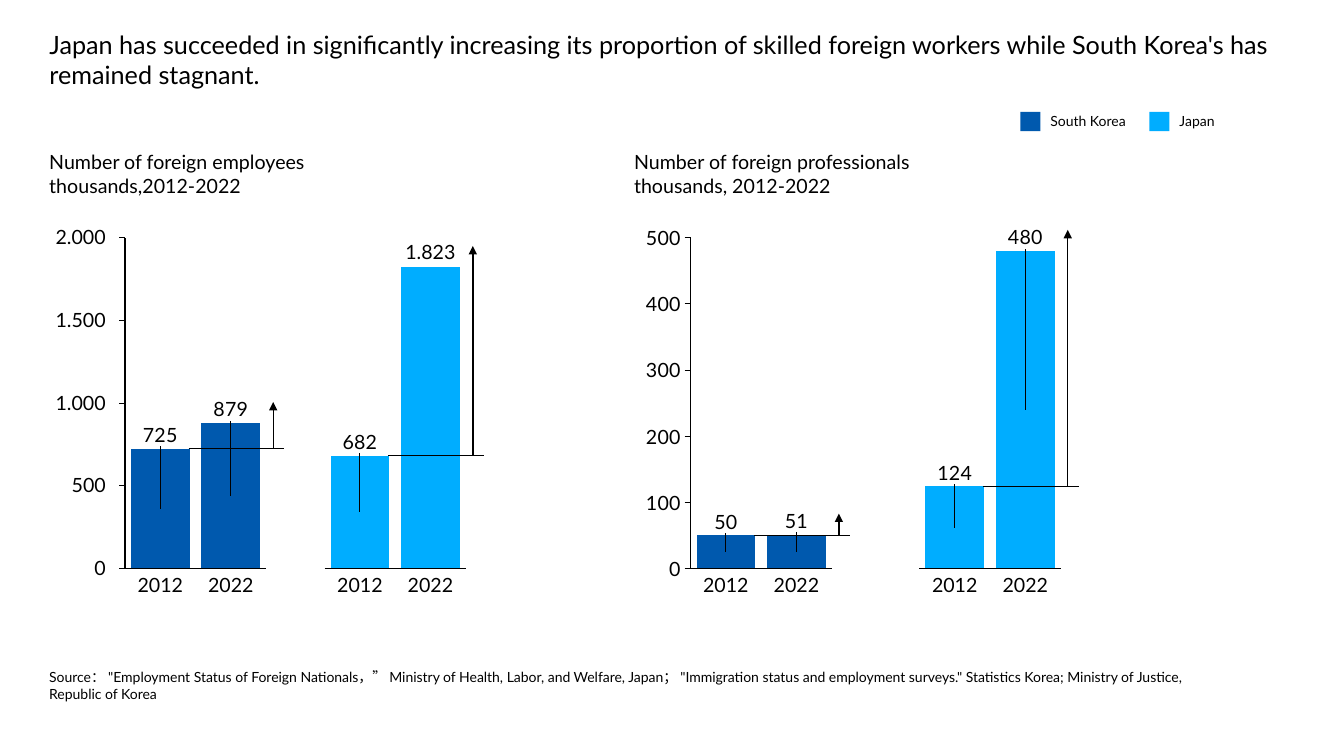
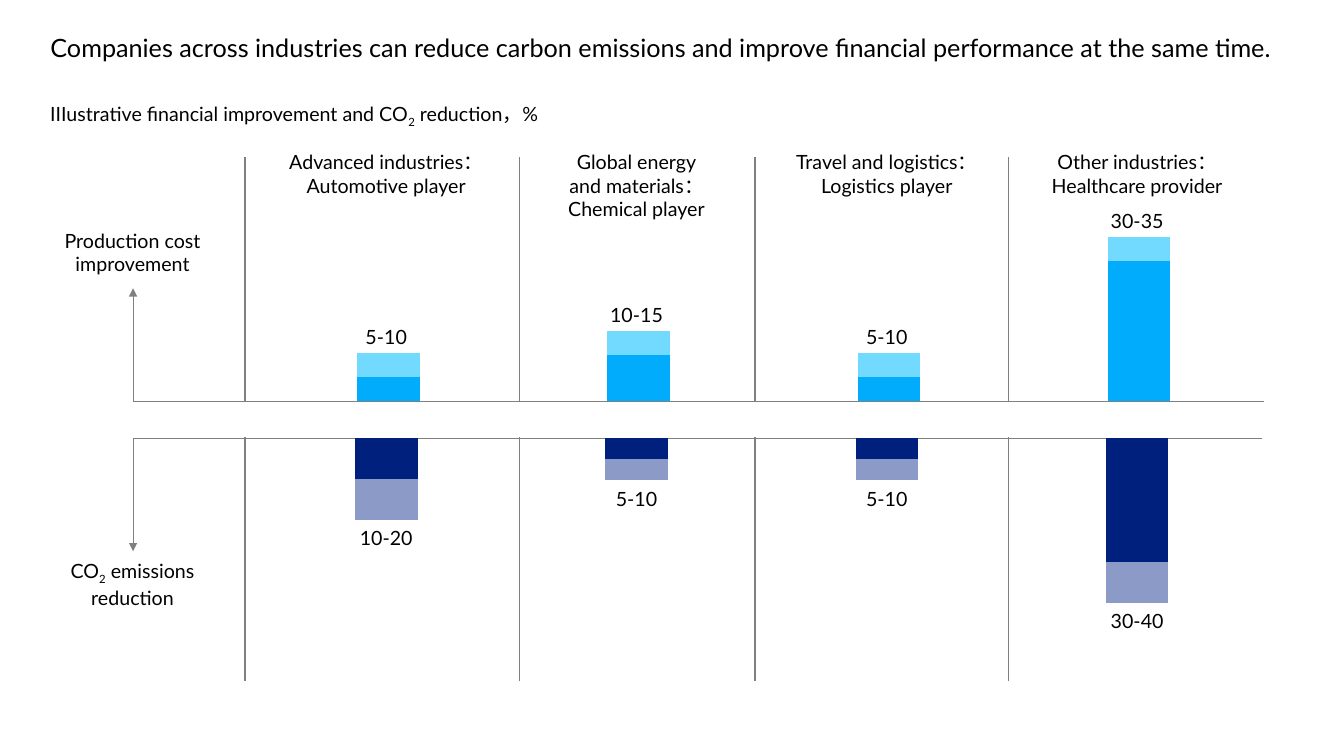
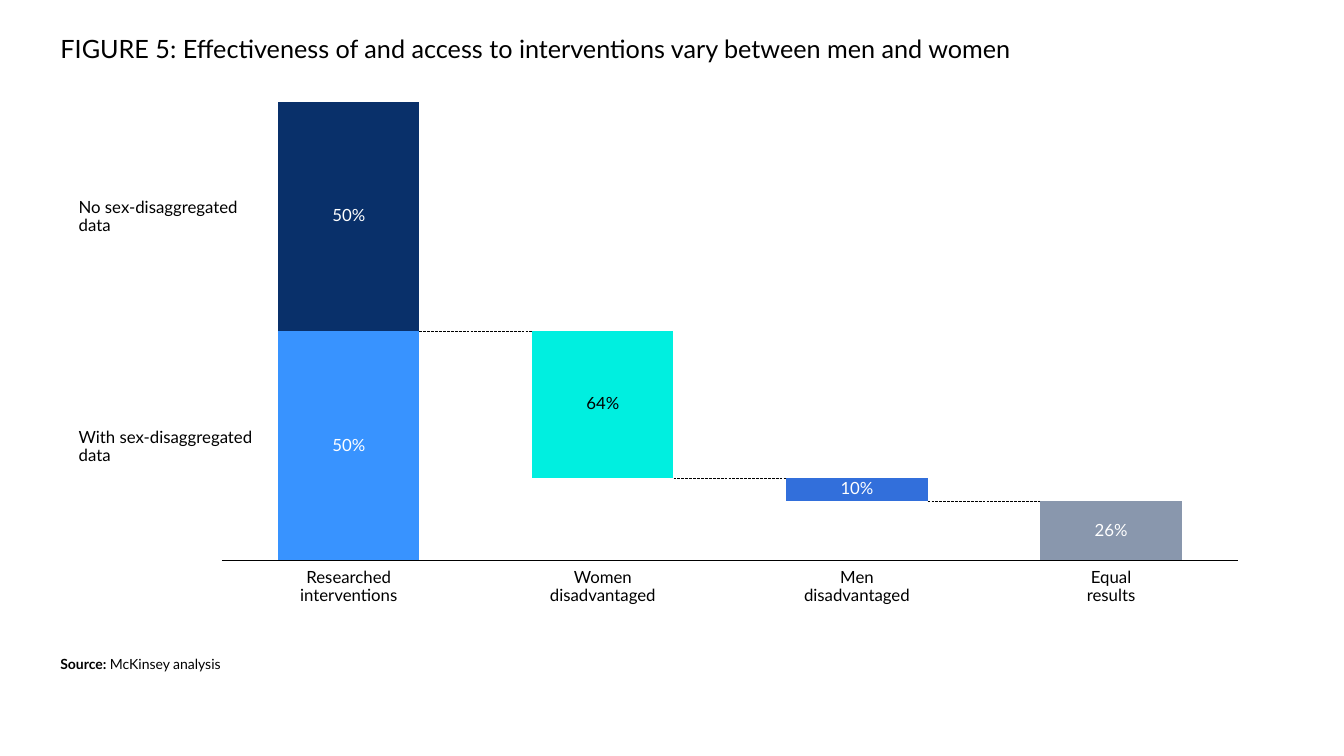
from lxml import etree
from pptx import Presentation
from pptx.chart.data import CategoryChartData
from pptx.dml.color import RGBColor
from pptx.enum.chart import XL_CHART_TYPE, XL_LABEL_POSITION, XL_TICK_LABEL_POSITION, XL_TICK_MARK
from pptx.enum.dml import MSO_LINE
from pptx.enum.shapes import MSO_CONNECTOR, MSO_SHAPE
from pptx.enum.text import MSO_ANCHOR, MSO_AUTO_SIZE, PP_ALIGN
from pptx.oxml import parse_xml
from pptx.oxml.ns import nsdecls, qn
from pptx.util import Inches, Pt

LEFT, CENTER, RIGHT = PP_ALIGN.LEFT, PP_ALIGN.CENTER, PP_ALIGN.RIGHT
TOP, MIDDLE = MSO_ANCHOR.TOP, MSO_ANCHOR.MIDDLE
STACKED = XL_CHART_TYPE.COLUMN_STACKED
NO_LABELS = XL_TICK_LABEL_POSITION.NONE
TITLE_ONLY = 5
FONT, CHART_FONT = "Lato", "Noto Sans CJK SC"
COLORS = {
    "black": "000000", "white": "FFFFFF", "gray": "808080",
    "korea": "0059AE", "japan": "00ADFF",
    "cost": "00ACFB", "cost range": "72DAFE",
    "emissions": "00207E", "emissions range": "8C9AC7",
    "with data": "3893FF", "no data": "09306A",
    "women": "00EFE0", "men": "326FDB", "equal": "8997AD",
}

# ---- Content: foreign workers ----
WORKERS_TITLE = ("Japan has succeeded in significantly increasing its proportion of skilled "
                 "foreign workers while South Korea's has remained stagnant.")
WORKERS_SOURCE = ("Source： \"Employment Status of Foreign Nationals，” Ministry of Health, Labor, "
                  "and Welfare, Japan； \"Immigration status and employment surveys.\" "
                  "Statistics Korea; Ministry of Justice, Republic of Korea")
WORKERS_HEADINGS = [
    (0.39, ["Number of foreign employees", "thousands,2012-2022"]),
    (6.19, ["Number of foreign professionals", "thousands, 2012-2022"]),
]
LEGEND = [("South Korea", "korea", 10.12), ("Japan", "japan", 11.4)]
YEARS = ["2012", "2022"]
WORKER_CHARTS = [
    dict(left=0.71, width=2.47, plot_left=1.24, values=(725, 879), color="korea",
         maximum=2000, step=500, axis="ticks"),
    dict(left=2.68, width=2.47, plot_left=3.22, values=(682, 1823), color="japan",
         maximum=2000, step=500, axis=None),
    dict(left=6.19, width=2.15, plot_left=6.85, values=(50, 51), color="korea",
         maximum=500, step=100, axis="labels"),
    dict(left=8.58, width=2.47, plot_left=9.12, values=(124, 480), color="japan",
         maximum=500, step=100, axis=None),
]

# ---- Content: carbon reduction ----
CARBON_TITLE = ("Companies across industries can reduce carbon emissions and improve "
                "financial performance at the same time.")
CARBON_SUBTITLE = ["IIIustrative financial improvement and CO", ("2", "sub"), " reduction，%"]
INDUSTRIES = [
    ["Advanced industries：", "Automotive player"],
    ["Global energy", "and materials：", "Chemical player"],
    ["Travel and logistics：", "Logistics player"],
    ["Other industries：", "Healthcare provider"],
]
DIVIDERS = [2.43, 5.15, 7.49, 10]
CARBON_HALVES = [
    dict(left=2.52, top=2.26, scale=(0, 117), base=3.98, tip=2.86, divider=(1.56, 3.98),
         series=[("Low", (17, 33, 17, 100), "cost"), ("Range", (17, 17, 17, 17), "cost range")],
         ranges=["5-10", "10-15", "5-10", "30-35"], label_shift=-0.33,
         caption=["Production cost", "improvement"], caption_top=2.22),
    dict(left=2.5, top=4.26, scale=(-133, 0), base=4.35, tip=5.47, divider=(4.34, 6.76),
         series=[("Low", (-33, -17, -17, -100), "emissions"),
                 ("Range", (-33, -17, -17, -33), "emissions range")],
         ranges=["10-20", "5-10", "5-10", "30-40"], label_shift=0.01,
         caption=[["CO", ("2", "sub"), " emissions"], "reduction"], caption_top=5.5),
]

# ---- Content: interventions ----
ACCESS_TITLE = "FIGURE 5: Effectiveness of and access to interventions vary between men and women"
ACCESS_SOURCE = [("Source: ", "bold"), "McKinsey analysis"]
GROUPS = ["Researched\vinterventions", "Women\vdisadvantaged", "Men\vdisadvantaged", "Equal\vresults"]
ACCESS_SERIES = [("Base", (100, 36, 26, 26), None), ("Step", (100, 64, 10, None), "no data")]
POINT_COLORS = [{0: "with data", 3: "equal"}, {1: "women", 2: "men"}]
STEP_LEVELS = [100, 36, 26]
SHARES = [  # column, middle value, text, colour
    (0, 150, "50%", "white"), (0, 50, "50%", "white"), (1, 68, "64%", "black"),
    (2, 31, "10%", "white"), (3, 13, "26%", "white"),
]
ROW_NAMES = [(150, "No sex-disaggregated\vdata"), (50, "With sex-disaggregated\vdata")]


# ---- Shared helpers ----
def rgb(name):
    return RGBColor.from_string(COLORS[name])


def dotted(value):
    return f"{value:,}".replace(",", ".")


def style_font(font, size, color="black", name=FONT):
    font.size, font.name = Pt(size), name
    font.color.rgb = rgb(color)


def write(frame, lines, size, color="black", align=LEFT, spacing=None):
    for index, line in enumerate(lines):
        paragraph = frame.paragraphs[0] if index == 0 else frame.add_paragraph()
        paragraph.alignment = align
        if spacing:
            paragraph.line_spacing = spacing
        if isinstance(line, str):
            paragraph.text = line
        else:
            for part in line:
                text, kind = (part, None) if isinstance(part, str) else part
                run = paragraph.add_run()
                run.text = text
                if kind == "bold":
                    run.font.bold = True
                elif kind == "sub":
                    run.font._element.set("baseline", "-25000")
        style_font(paragraph.font, size, color)


def add_text(slide, lines, box, size=14, color="black", align=LEFT, anchor=TOP, tight=False):
    """Tight boxes have no margins and slightly closer lines."""
    frame = slide.shapes.add_textbox(*map(Inches, box)).text_frame
    frame.word_wrap, frame.vertical_anchor = True, anchor
    if tight:
        frame.margin_left = frame.margin_right = frame.margin_top = frame.margin_bottom = 0
    write(frame, lines, size, color, align, 0.9 if tight else None)


def add_titled_slide(presentation, title, left, top):
    slide = presentation.slides.add_slide(presentation.slide_layouts[TITLE_ONLY])
    shape = slide.shapes.title
    shape.left, shape.top, shape.width, shape.height = map(Inches, (left, top, 12.42, 0.71))
    shape.text_frame.vertical_anchor = TOP
    shape.text_frame.auto_size = MSO_AUTO_SIZE.NONE
    write(shape.text_frame, [title], 18)
    return slide


def add_line(slide, start, end, color="black", width=1, arrow=False, dash=None):
    line = slide.shapes.add_connector(MSO_CONNECTOR.STRAIGHT, *map(Inches, (*start, *end)))
    line.line.color.rgb, line.line.width = rgb(color), Pt(width)
    if dash:
        line.line.dash_style = dash
    properties = line._element.spPr
    if arrow:
        etree.SubElement(properties.find(qn("a:ln")), qn("a:tailEnd"), type="triangle")
    etree.SubElement(properties, qn("a:effectLst"))


def manual_layout(**values):
    items = "".join(f'<c:{key} val="{value}"/>' for key, value in values.items())
    return parse_xml(f'<c:layout {nsdecls("c")}><c:manualLayout>{items}</c:manualLayout></c:layout>')


def add_columns(slide, frame, plot, categories, series, scale, gap, line_color="black"):
    """Stacked columns whose plot area is given in slide inches."""
    data = CategoryChartData()
    data.categories = categories
    for name, values, _ in series:
        data.add_series(name, values)
    chart = slide.shapes.add_chart(STACKED, *map(Inches, frame), data).chart
    style_font(chart.font, 10, name=CHART_FONT)
    chart.has_legend = chart.has_title = False
    columns = chart.plots[0]
    columns.gap_width, columns.overlap, columns.vary_by_categories = gap, 100, False
    for item, (_, _, color) in zip(columns.series, series):
        item.invert_if_negative = False
        if color:
            item.format.fill.solid()
            item.format.fill.fore_color.rgb = rgb(color)
        else:
            item.format.fill.background()
    axis = chart.category_axis
    axis.tick_label_position = NO_LABELS
    axis.major_tick_mark = XL_TICK_MARK.NONE
    axis.format.line.color.rgb, axis.format.line.width = rgb(line_color), Pt(0.75)
    value_axis = chart.value_axis
    value_axis.minimum_scale, value_axis.maximum_scale = scale
    value_axis.has_major_gridlines = value_axis.visible = False
    # Plot area as shares of the chart frame
    area = chart._chartSpace.chart.plotArea
    for old in area.findall(qn("c:layout")):
        area.remove(old)
    area.insert(0, manual_layout(
        layoutTarget="inner", xMode="edge", yMode="edge",
        x=(plot[0] - frame[0]) / frame[2], y=(plot[1] - frame[1]) / frame[3],
        w=plot[2] / frame[2], h=plot[3] / frame[3]))
    return chart


# ---- Slides ----
def build_workers(presentation):
    slide = add_titled_slide(presentation, WORKERS_TITLE, 0.39, 0.24)
    for left, lines in WORKERS_HEADINGS:
        add_text(slide, lines, (left, 1.44, 3.3, 0.57))
    add_text(slide, [WORKERS_SOURCE], (0.39, 6.58, 11.83, 0.44), 10)
    for name, color, left in LEGEND:
        swatch = slide.shapes.add_shape(MSO_SHAPE.RECTANGLE, *map(Inches, (left, 1.11, 0.2, 0.19)))
        swatch.shadow.inherit = False
        swatch.fill.solid()
        swatch.fill.fore_color.rgb = rgb(color)
        swatch.line.fill.background()
        add_text(slide, [name], (left + 0.2, 1.07, 1, 0.27), 10)

    chart_top, chart_height = 2.03, 3.95
    plot_top, plot_width, plot_height = 2.36, 1.4, 3.28
    for item in WORKER_CHARTS:
        left, maximum, values = item["plot_left"], item["maximum"], item["values"]

        def level(value):
            return plot_top + plot_height * (1 - value / maximum)

        chart = add_columns(slide, (item["left"], chart_top, item["width"], chart_height),
                            (left, plot_top, plot_width, plot_height), YEARS,
                            [("Thousands", values, item["color"])], (0, maximum), 20)
        # Value axis
        if item["axis"]:
            axis = chart.value_axis
            axis.visible, axis.major_unit = True, item["step"]
            axis.major_tick_mark = XL_TICK_MARK.OUTSIDE
            axis.format.line.color.rgb, axis.format.line.width = rgb("black"), Pt(0.75)
            style_font(axis.tick_labels.font, 14)
            if item["axis"] == "ticks":
                axis.tick_label_position = NO_LABELS
                for value in range(0, maximum + 1, item["step"]):
                    add_text(slide, [dotted(value)], (0.25, level(value) - 0.1, 0.8, 0.21),
                             align=RIGHT, anchor=MIDDLE, tight=True)
        # Value labels above the bars and years below
        series = chart.plots[0].series[0]
        for index, (year, value) in enumerate(zip(YEARS, values)):
            center = left + plot_width * (index + 0.5) / len(YEARS)
            add_text(slide, [year], (center - 0.3, 5.71, 0.6, 0.21), align=CENTER, tight=True)
            if value >= 1000:
                add_text(slide, [dotted(value)], (center - 0.4, level(value) - 0.24, 0.8, 0.21),
                         align=CENTER, tight=True)
                continue
            label = series.points[index].data_label
            style_font(label.font, 14)
            label.position = XL_LABEL_POSITION.CENTER
            rise = (level(0) - level(value)) / 2 + 0.14
            element = series._element.findall(".//" + qn("c:dLbl"))[-1]
            element.find(qn("c:idx")).addnext(manual_layout(x=0, y=-rise / chart_height))
        # Growth from the first year to the last
        start, end = map(level, values)
        add_line(slide, (left + 0.63, start), (left + 1.58, start))
        add_line(slide, (left + 1.47, start), (left + 1.47, end - 0.21), arrow=True)


def build_carbon(presentation):
    slide = add_titled_slide(presentation, CARBON_TITLE, 0.4, 0.27)
    add_text(slide, [CARBON_SUBTITLE], (0.4, 0.96, 6, 0.34))
    plot_width, plot_height, inset = 9.93, 1.63, 0.09
    centers = [2.59 + plot_width * (index + 0.5) / len(INDUSTRIES) for index in range(len(INDUSTRIES))]
    for center, lines in zip(centers, INDUSTRIES):
        add_text(slide, lines, (center - 1.15, 1.44, 2.3, 0.57), align=CENTER)
    for half in CARBON_HALVES:
        left, top, base = half["left"], half["top"], half["base"]
        low, high = half["scale"]
        add_columns(slide, (left, top, 10.11, 1.82), (left + inset, top + inset, plot_width, plot_height),
                    [" ".join(lines) for lines in INDUSTRIES], half["series"], half["scale"], 300, "gray")
        for x in DIVIDERS:
            add_line(slide, (x, half["divider"][0]), (x, half["divider"][1]), "gray")
        add_line(slide, (1.32, base), (2.61, base), "gray", 0.75)
        add_line(slide, (1.32, base), (1.32, half["tip"]), "gray", 0.75, arrow=True)
        add_text(slide, half["caption"], (0.46, half["caption_top"], 1.71, 0.57), align=CENTER)
        totals = [sum(pair) for pair in zip(*(values for _, values, _ in half["series"]))]
        for center, total, text in zip(centers, totals, half["ranges"]):
            bar_end = base - total / (high - low) * plot_height
            add_text(slide, [text], (center - 0.4, bar_end + half["label_shift"], 0.8, 0.34), align=CENTER)


def build_access(presentation):
    slide = add_titled_slide(presentation, ACCESS_TITLE, 0.5, 0.28)
    add_text(slide, [ACCESS_SOURCE], (0.5, 6.45, 12.32, 0.27), 10)
    left, top, width, height, maximum = 2.2, 1.01, 10.08, 4.55, 200
    column = width / len(GROUPS)
    bar = column / 1.8

    def level(value):
        return top + height * (1 - value / maximum)

    def center(index):
        return left + column * (index + 0.5)

    for index, value in enumerate(STEP_LEVELS):
        add_line(slide, (center(index) + bar / 2, level(value)),
                 (center(index + 1) - bar / 2, level(value)), width=0.25, dash=MSO_LINE.LONG_DASH)
    chart = add_columns(slide, (2.11, 0.93, 10.27, 4.73), (left, top, width, height),
                        [name.replace("\v", " ") for name in GROUPS], ACCESS_SERIES, (0, maximum), 80)
    for series, colors in zip(chart.plots[0].series, POINT_COLORS):
        for index, color in colors.items():
            fill = series.points[index].format.fill
            fill.solid()
            fill.fore_color.rgb = rgb(color)
    for index, name in enumerate(GROUPS):
        add_text(slide, [name], (center(index) - 0.7, 5.64, 1.4, 0.36), 12, align=CENTER, tight=True)
    for index, value, text, color in SHARES:
        add_text(slide, [text], (center(index) - 0.3, level(value) - 0.09, 0.6, 0.18), 12, color,
                 CENTER, MIDDLE, tight=True)
    for value, name in ROW_NAMES:
        add_text(slide, [name], (0.78, level(value) - 0.17, 1.95, 0.36), 12, anchor=MIDDLE, tight=True)


def main():
    presentation = Presentation()
    presentation.slide_width, presentation.slide_height = Inches(13.33), Inches(7.5)
    build_workers(presentation)
    build_carbon(presentation)
    build_access(presentation)
    presentation.save("out.pptx")


if __name__ == "__main__":
    main()
